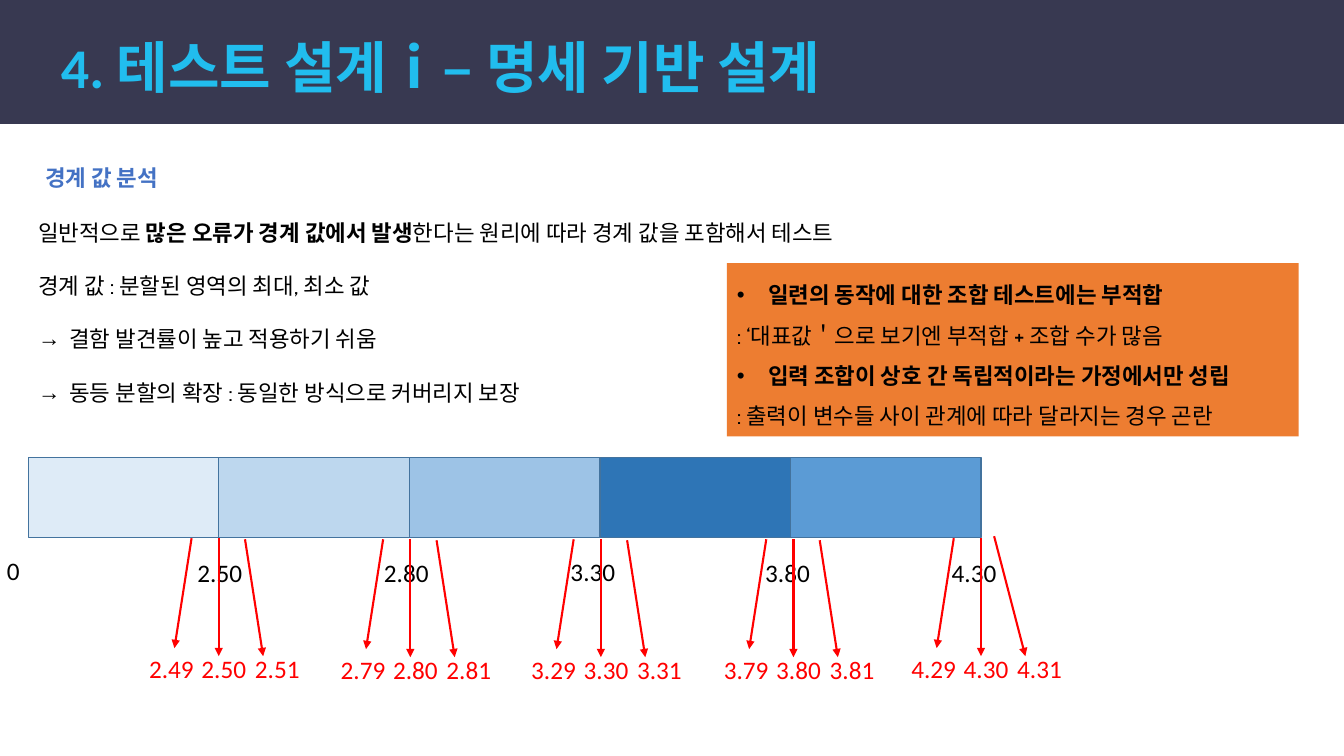
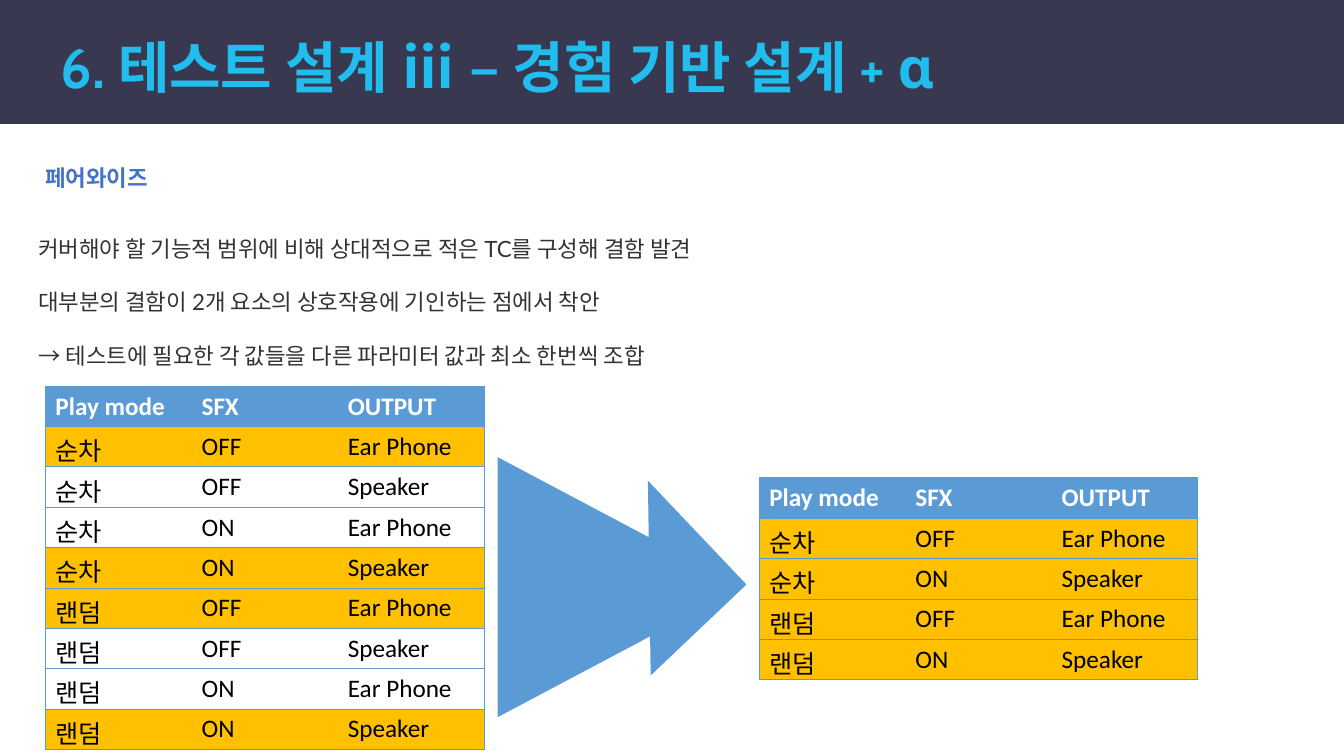
"""Build two test-design slides: boundary value analysis and pairwise testing."""
from dataclasses import dataclass, replace

from lxml import etree
from pptx import Presentation
from pptx import util as u
from pptx.dml.color import RGBColor
from pptx.enum import shapes, text
from pptx.oxml import ns

PX = 9144
NAVY = RGBColor(0x38, 0x39, 0x51)
CYAN = RGBColor(0x21, 0xBD, 0xEE)
HEADING_BLUE = RGBColor(0x44, 0x72, 0xC4)
BLACK = RGBColor(0x00, 0x00, 0x00)
GRAY = RGBColor(0x33, 0x33, 0x33)
WHITE = RGBColor(0xFF, 0xFF, 0xFF)
RED = RGBColor(0xFF, 0x00, 0x00)
ORANGE = RGBColor(0xED, 0x7D, 0x31)
GOLD = RGBColor(0xFF, 0xC0, 0x00)
BLUE = RGBColor(0x5B, 0x9B, 0xD5)
BAR_LINE = RGBColor(0x43, 0x73, 0x9E)
BAR_FILLS = (
    RGBColor(0xDE, 0xEB, 0xF7),
    RGBColor(0xBD, 0xD7, 0xEE),
    RGBColor(0x9D, 0xC3, 0xE6),
    RGBColor(0x2E, 0x75, 0xB6),
    BLUE,
)


@dataclass(frozen=True)
class Box:
    """A frame in px."""
    left: int
    top: int
    width: int
    height: int

    def emu(self) -> tuple:
        """Return the frame in EMU."""
        return tuple(px(n) for n in (self.left, self.top, self.width, self.height))


@dataclass(frozen=True)
class Style:
    """The look of text in one box."""
    font: str
    size: int
    color: RGBColor
    bold: bool = False
    line_spacing: float = 1.0
    gap: int = 0


@dataclass(frozen=True)
class Line:
    """One paragraph of (text, bold) runs with an optional bullet."""
    runs: tuple
    bullet: str = ""


@dataclass(frozen=True)
class Boundary:
    """A boundary value with its arrows and labels."""
    value: float
    center: int
    top: int
    label_left: int
    label_top: int = 548
    right_offset: int = 26
    right_drop: int = 1


BOUNDARIES = (
    Boundary(2.5, 217, 534, 186),
    Boundary(2.8, 407, 535, 371),
    Boundary(3.3, 596, 535, 556, label_top=547),
    Boundary(3.8, 787, 535, 749),
    Boundary(4.3, 973, 534, 934, right_offset=13, right_drop=-2),
)
TITLE = Style("Calibri", 40, CYAN, True, 0.9)
HEADING = Style("Cabin", 16, HEADING_BLUE, True)
BODY = Style("Cabin", 16, BLACK, gap=19)
PAIRWISE_BODY = Style("Lato", 16, GRAY, gap=19)
NOTE = Style("Cabin", 16, BLACK, line_spacing=1.5)
VALUE = Style("Calibri", 18, BLACK)
TEST_VALUE = replace(VALUE, color=RED)
TABLE_HEAD = replace(VALUE, color=WHITE, bold=True)

COLUMNS = ("Play mode", "SFX", "OUTPUT")
COMBINATIONS = tuple(
    (mode, effect, output)
    for mode in ("순차", "랜덤")
    for effect in ("OFF", "ON")
    for output in ("Ear Phone", "Speaker")
)
CHOSEN = tuple(row for row in COMBINATIONS if (row[1] == "OFF") == (row[2] == "Ear Phone"))


def px(length: int) -> int:
    """Turn px into EMU."""
    return u.Emu(length * PX)


def plain(content: str, bullet: str = "") -> Line:
    """Return a paragraph with one regular run."""
    return Line(((content, False),), bullet)


def strong(content: str, bullet: str = "") -> Line:
    """Return a paragraph with one bold run."""
    return Line(((content, True),), bullet)


def write(frame, lines: tuple, style: Style) -> None:
    """Fill a text frame run by run."""
    for index, line in enumerate(lines):
        paragraph = frame.add_paragraph() if index else frame.paragraphs[0]
        paragraph.alignment = text.PP_ALIGN.LEFT
        paragraph.line_spacing = style.line_spacing
        if index and style.gap:
            paragraph.space_before = u.Pt(style.gap)
        if line.bullet:
            properties = paragraph._p.get_or_add_pPr()
            properties.set("marL", str(px(31)))
            properties.set("indent", str(px(-31)))
            etree.SubElement(properties, ns.qn("a:buFont"), typeface="Arial")
            etree.SubElement(properties, ns.qn("a:buChar"), char=line.bullet)
        for content, bold in line.runs:
            run = paragraph.add_run()
            run.text = content
            run.font.name = style.font
            run.font.size = u.Pt(style.size)
            run.font.bold = bold or style.bold
            run.font.color.rgb = style.color


def add_text(slide, box: Box, lines: tuple, style: Style, wrap: bool = True):
    """Add a text box and return its frame."""
    frame = slide.shapes.add_textbox(*box.emu()).text_frame
    frame.word_wrap = wrap
    frame.auto_size = text.MSO_AUTO_SIZE.SHAPE_TO_FIT_TEXT
    write(frame, lines, style)
    return frame


def add_shape(slide, kind, box: Box, fill: RGBColor, line: RGBColor = None, rotation: float = 0):
    """Add a flat preset shape."""
    shape = slide.shapes.add_shape(kind, *box.emu())
    shape.shadow.inherit = False
    shape.fill.solid()
    shape.fill.fore_color.rgb = fill
    shape.rotation = rotation
    if line is None:
        shape.line.fill.background()
    else:
        shape.line.color.rgb = line
        shape.line.width = u.Pt(1)
    return shape


def add_arrow(slide, start: tuple, end: tuple) -> None:
    """Add a red arrow between two points."""
    points = [px(n) for n in (*start, *end)]
    connector = slide.shapes.add_connector(shapes.MSO_CONNECTOR.STRAIGHT, *points)
    connector.line.color.rgb = RED
    connector.line.width = u.Pt(1.5)
    etree.SubElement(connector.line._get_or_add_ln(), ns.qn("a:tailEnd"), type="triangle")
    etree.SubElement(connector._element.spPr, ns.qn("a:effectLst"))


def add_value(slide, left: int, top: int, content: str, style: Style) -> None:
    """Add a number label."""
    add_text(slide, Box(left, top, 71, 40), (plain(content),), style)


def add_boundary(slide, boundary: Boundary) -> None:
    """Add a boundary label, its three arrows and three test values."""
    center, top = boundary.center, boundary.top
    add_value(slide, boundary.label_left, boundary.label_top, f"{boundary.value:.2f}", VALUE)
    add_arrow(slide, (center - 27, top), (center - 44, top + 109))
    add_arrow(slide, (center, top), (center, top + 117))
    add_arrow(slide, (center + boundary.right_offset, top + boundary.right_drop),
              (center + 44, top + 117))
    for step, offset in ((-0.01, -79), (0, -27), (0.01, 26)):
        add_value(slide, center + offset, top + 109, f"{boundary.value + step:.2f}", TEST_VALUE)


def set_border(cell, side: str, visible: bool) -> None:
    """Draw or clear one side of a cell."""
    border = etree.SubElement(cell._tc.get_or_add_tcPr(), ns.qn(f"a:ln{side}"), w=str(u.Pt(0.5)))
    if visible:
        fill = etree.SubElement(border, ns.qn("a:solidFill"))
        etree.SubElement(fill, ns.qn("a:srgbClr"), val=str(BLUE))
    else:
        etree.SubElement(border, ns.qn("a:noFill"))


def add_combinations(slide, left: int, top: int, rows: tuple) -> None:
    """Add a table of combinations with the chosen rows in gold."""
    box = Box(left, top, 145 * len(COLUMNS), 40 * (len(rows) + 1))
    table = slide.shapes.add_table(len(rows) + 1, len(COLUMNS), *box.emu()).table
    table.horz_banding = False
    for row_index, row in enumerate((COLUMNS, *rows)):
        if row_index == 0:
            fill, style = BLUE, TABLE_HEAD
        else:
            fill, style = GOLD if row in CHOSEN else WHITE, VALUE
        for column_index, content in enumerate(row):
            cell = table.cell(row_index, column_index)
            set_border(cell, "L", column_index == 0)
            set_border(cell, "R", column_index == len(COLUMNS) - 1)
            set_border(cell, "T", True)
            set_border(cell, "B", True)
            cell.fill.solid()
            cell.fill.fore_color.rgb = fill
            write(cell.text_frame, (plain(content),), style)


def add_slide(presentation, title: str, title_width: int, title_font: str, heading: str):
    """Add a slide with the title band and heading."""
    slide = presentation.slides.add_slide(presentation.slide_layouts[6])
    add_shape(slide, shapes.MSO_SHAPE.RECTANGLE, Box(0, 0, 1333, 123), NAVY)
    frame = add_text(slide, Box(48, 39, title_width, 61), (plain(title),),
                     replace(TITLE, font=title_font), wrap=False)
    frame.margin_left = frame.margin_top = frame.margin_right = frame.margin_bottom = 0
    frame.vertical_anchor = text.MSO_ANCHOR.MIDDLE
    add_text(slide, Box(35, 158, 1000, 37), (plain(heading),), HEADING)
    return slide


def build_boundary_slide(presentation) -> None:
    """Build the boundary value slide."""
    slide = add_slide(presentation, " 4. 테스트 설계ⅰ– 명세 기반 설계", 820, "Calibri", "경계 값 분석")
    add_text(slide, Box(28, 212, 1241, 199), (
        Line((("일반적으로 ", False), ("많은 오류가 경계 값에서 발생", True),
              ("한다는 원리에 따라 경계 값을 포함해서 테스트", False))),
        plain("경계 값 : 분할된 영역의 최대, 최소 값"),
        plain("결함 발견률이 높고 적용하기 쉬움", "→"),
        plain("동등 분할의 확장 : 동일한 방식으로 커버리지 보장", "→"),
    ), BODY)
    for index, fill in enumerate(BAR_FILLS):
        add_shape(slide, shapes.MSO_SHAPE.RECTANGLE, Box(28 + 189 * index, 454, 189, 79),
                  fill, BAR_LINE)
    add_value(slide, -3, 546, "0", VALUE)
    for boundary in BOUNDARIES:
        add_boundary(slide, boundary)
    note = add_shape(slide, shapes.MSO_SHAPE.RECTANGLE, Box(721, 261, 567, 172), ORANGE)
    note.text_frame.word_wrap = True
    note.text_frame.auto_size = text.MSO_AUTO_SIZE.SHAPE_TO_FIT_TEXT
    note.text_frame.vertical_anchor = text.MSO_ANCHOR.TOP
    write(note.text_frame, (
        strong("일련의 동작에 대한 조합 테스트에는 부적합", "•"),
        plain(": ‘대표값＇으로 보기엔 부적합 + 조합 수가 많음"),
        strong("입력 조합이 상호 간 독립적이라는 가정에서만 성립", "•"),
        plain(": 출력이 변수들 사이 관계에 따라 달라지는 경우 곤란"),
    ), NOTE)


def build_pairwise_slide(presentation) -> None:
    """Build the pairwise slide."""
    slide = add_slide(presentation, " 6. 테스트 설계 ⅲ – 경험 기반 설계 + ɑ", 1011, "Cabin", "페어와이즈")
    add_text(slide, Box(28, 228, 761, 145), (
        plain("커버해야 할 기능적 범위에 비해 상대적으로 적은 TC를 구성해 결함 발견"),
        plain("대부분의 결함이 2개 요소의 상호작용에 기인하는 점에서 착안"),
        plain("→ 테스트에 필요한 각 값들을 다른 파라미터 값과 최소 한번씩 조합"),
    ), PAIRWISE_BODY, wrap=False)
    add_combinations(slide, 45, 383, COMBINATIONS)
    add_combinations(slide, 753, 474, CHOSEN)
    funnel = add_shape(slide, shapes.MSO_SHAPE.TRAPEZOID, Box(455, 492, 258, 181), BLUE, rotation=90)
    funnel.adjustments[0] = 0.53
    add_shape(slide, shapes.MSO_SHAPE.RIGHT_TRIANGLE, Box(573, 508, 142, 131), BLUE, rotation=226.5)


def main() -> None:
    """Build and save the presentation."""
    presentation = Presentation()
    presentation.slide_width = px(1333)
    presentation.slide_height = px(750)
    build_boundary_slide(presentation)
    build_pairwise_slide(presentation)
    presentation.save("out.pptx")


if __name__ == "__main__":
    main()
